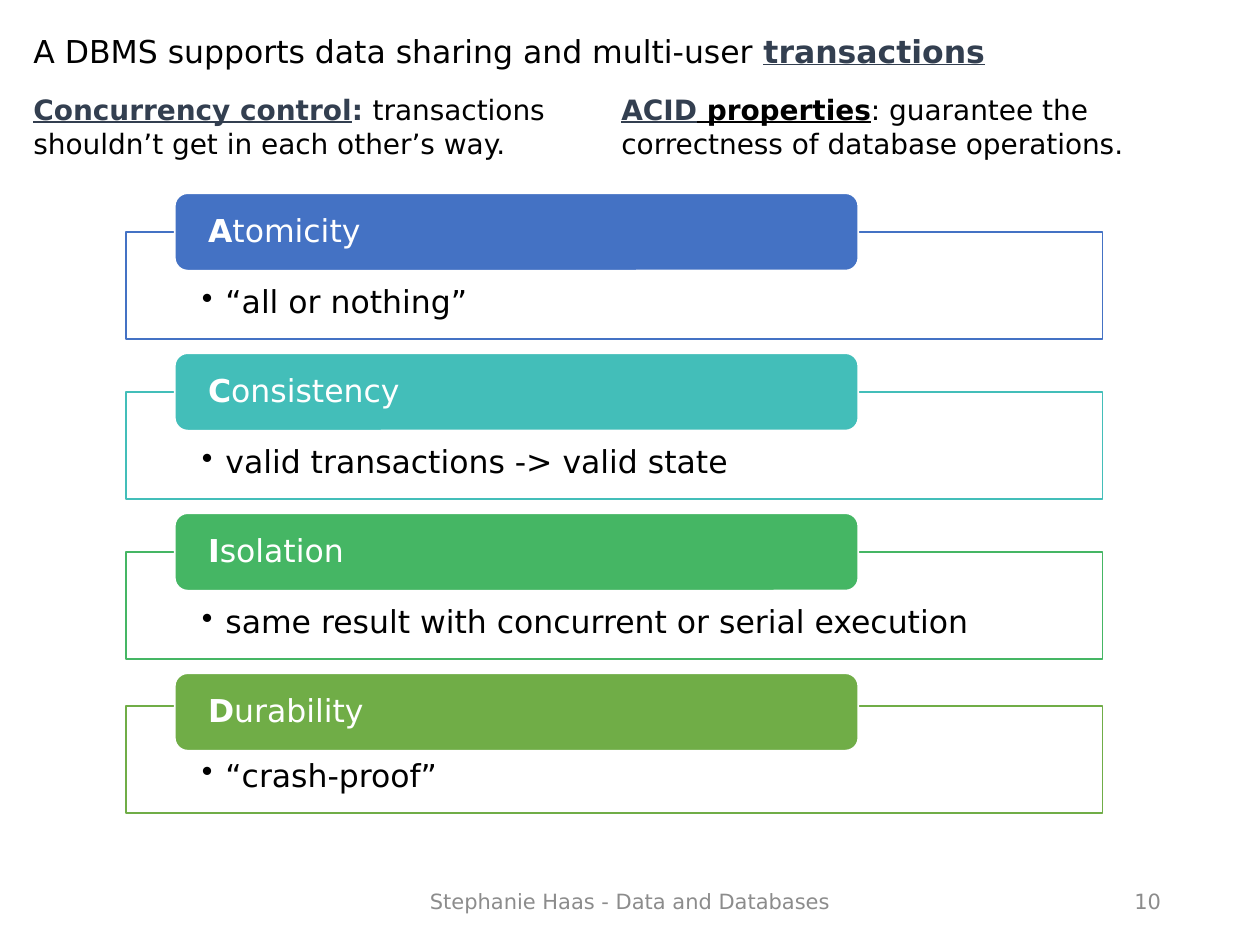
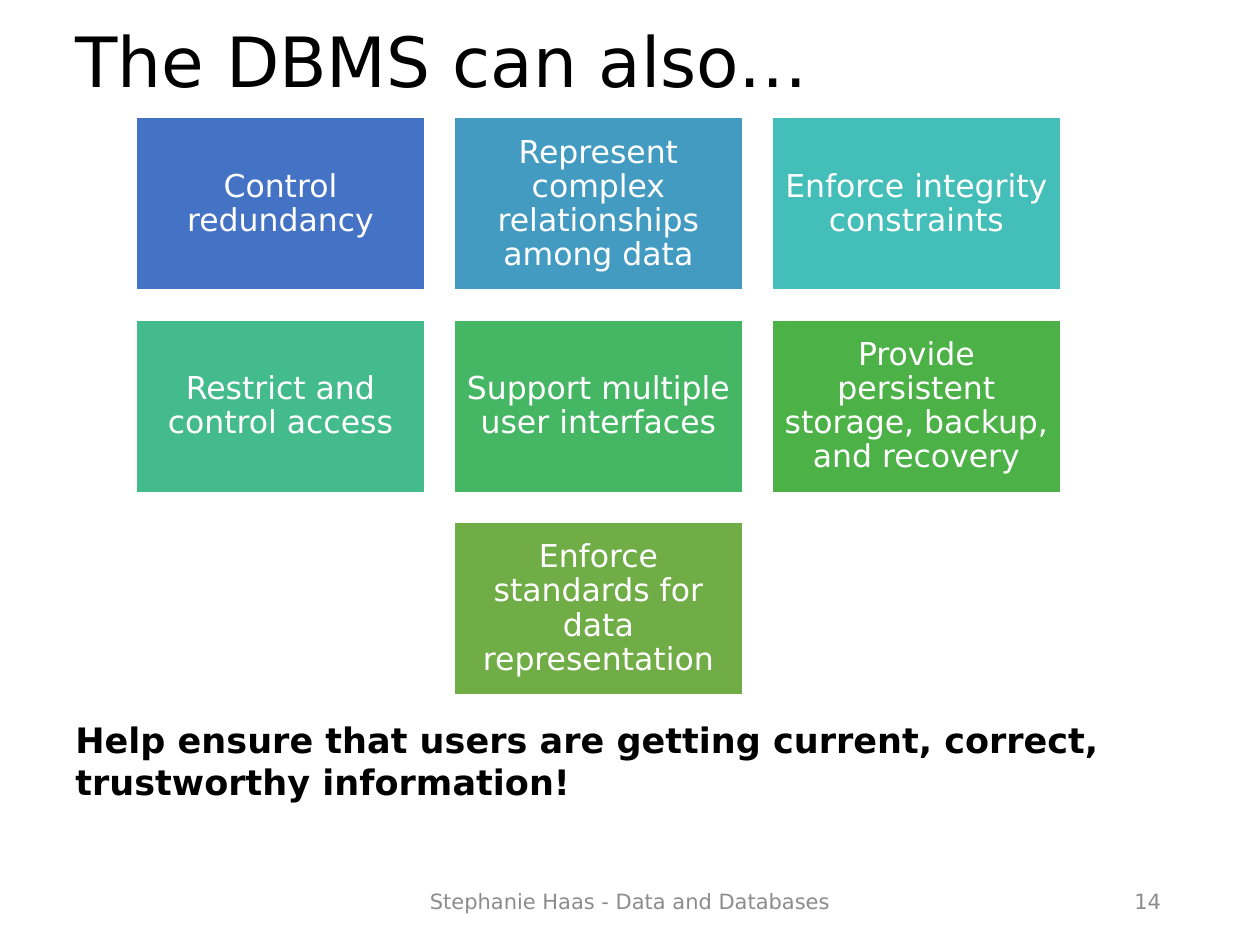
"""Build two slides on DBMS transactions and further DBMS abilities."""
from dataclasses import dataclass

from lxml.etree import SubElement
from pptx import Presentation
from pptx.dml.color import RGBColor
from pptx.enum.shapes import MSO_SHAPE
from pptx.enum.text import MSO_ANCHOR, PP_ALIGN
from pptx.oxml.ns import qn
from pptx.util import Pt

TRANSACTIONS_TITLE = [("A DBMS supports data sharing and multi-user ", "text", ""),
                      ("transactions", "accent", "bu")]
CONCURRENCY = [("Concurrency control", "accent", "bu"), (": ", "accent", "b"),
               ("transactions shouldn’t get in each other’s way.", "text", "")]
ACID = [("ACID", "accent", "bu"), (" properties", "text", "bu"),
        (": guarantee the correctness of database operations.", "text", "")]
PROPERTIES = [
    ("Atomicity", "“all or nothing”", "blue"),
    ("Consistency", "valid transactions -> valid state", "teal"),
    ("Isolation", "same result with concurrent or serial execution", "green"),
    ("Durability", "“crash-proof”", "olive"),
]
ABILITIES_TITLE = "The DBMS can also…"
ABILITIES = [
    ("Control redundancy", "blue"),
    ("Represent complex relationships among data", "sky"),
    ("Enforce integrity constraints", "teal"),
    ("Restrict and control access", "mint"),
    ("Support multiple user interfaces", "green"),
    ("Provide persistent storage, backup, and recovery", "leaf"),
    ("Enforce standards for data representation", "olive"),
]
CONCLUSION = "Help ensure that users are getting current, correct, trustworthy information!"
FOOTER = "Stephanie Haas - Data and Databases"


@dataclass(frozen=True)
class Theme:
    font: str = "DejaVu Sans"
    text: str = "000000"
    accent: str = "333F50"
    muted: str = "8C8C8C"
    white: str = "FFFFFF"
    blue: str = "4472C4"
    sky: str = "449BC1"
    teal: str = "43BEB9"
    mint: str = "43BB8D"
    green: str = "45B664"
    leaf: str = "4CB146"
    olive: str = "70AD47"
    headline: float = 39.6
    closing: float = 20
    body: float = 18
    lead: float = 16
    footer: float = 12


THEME = Theme()


def color(name):
    return RGBColor.from_string(getattr(THEME, name))


def write(shape, pieces, size, align=PP_ALIGN.LEFT, anchor=MSO_ANCHOR.TOP,
          spacing=1.0, insets=(7.2, 3.6, 7.2, 3.6)):
    frame = shape.text_frame
    frame.word_wrap = True
    frame.vertical_anchor = anchor
    frame.margin_left, frame.margin_top, frame.margin_right, frame.margin_bottom = map(Pt, insets)
    paragraph = frame.paragraphs[0]
    paragraph.alignment = align
    paragraph.line_spacing = spacing
    for wording, tint, style in pieces:
        run = paragraph.add_run()
        run.text = wording
        run.font.name = THEME.font
        run.font.size = Pt(size)
        run.font.color.rgb = color(tint)
        run.font.bold = "b" in style
        run.font.underline = "u" in style
    return paragraph


def add_text(slide, box, pieces, size, **layout):
    write(slide.shapes.add_textbox(*map(Pt, box)), pieces, size, **layout)


def add_block(slide, outline, box, fill, line):
    block = slide.shapes.add_shape(outline, *map(Pt, box))
    block.shadow.inherit = False
    block.fill.solid()
    block.fill.fore_color.rgb = color(fill)
    block.line.color.rgb = color(line)
    block.line.width = Pt(1)
    return block


def add_bullet(paragraph, indent):
    properties = paragraph._p.get_or_add_pPr()
    properties.set("marL", str(Pt(indent)))
    properties.set("indent", str(-Pt(indent)))
    SubElement(properties, qn("a:buChar")).set("char", "•")


def start_slide(deck, title, title_box, title_size, number):
    slide = deck.slides.add_slide(deck.slide_layouts[6])
    add_text(slide, title_box, title, title_size, anchor=MSO_ANCHOR.MIDDLE, spacing=0.9)
    for wording, left, width, align in ((FOOTER, 238.5, 243, PP_ALIGN.CENTER),
                                        (str(number), 508.5, 162, PP_ALIGN.RIGHT)):
        add_text(slide, (left, 500.5, width, 28.75), [(wording, "muted", "")], THEME.footer,
                 align=align, anchor=MSO_ANCHOR.MIDDLE)
    return slide


def build_transactions(deck):
    slide = start_slide(deck, TRANSACTIONS_TITLE, (12, 11.5, 690, 37.5), THEME.body, 10)
    add_text(slide, (12, 49.5, 312, 46), CONCURRENCY, THEME.lead)
    add_text(slide, (348, 49.5, 303, 46), ACID, THEME.lead)
    first_top, pitch = 110.4, 91.44
    for row, (name, meaning, tint) in enumerate(PROPERTIES):
        tab_top = first_top + row * pitch
        drop = 18.5 if row == len(PROPERTIES) - 1 else 22.1
        frame = add_block(slide, MSO_SHAPE.RECTANGLE, (72, tab_top + drop, 558, 61.2), "white", tint)
        paragraph = write(frame, [(meaning, "text", "")], THEME.body, spacing=0.9,
                          insets=(43.3, 31.2, 43.3, 10))
        add_bullet(paragraph, 13.5)
        tab = add_block(slide, MSO_SHAPE.ROUNDED_RECTANGLE, (99.9, tab_top, 390.6, 44.28), tint, "white")
        write(tab, [(name[0], "white", "b"), (name[1:], "white", "")], THEME.body,
              anchor=MSO_ANCHOR.MIDDLE, spacing=0.9, insets=(16.9, 0, 16.9, 0))


def build_abilities(deck):
    slide = start_slide(deck, [(ABILITIES_TITLE, "text", "")], (36, 12, 648, 50.5), THEME.headline, 14)
    columns, left, top, width, height, gap = 3, 77.8, 67, 164.9, 98.9, 16.8
    for index, (ability, tint) in enumerate(ABILITIES):
        row, column = divmod(index, columns)
        in_row = min(columns, len(ABILITIES) - row * columns)
        shift = column + (columns - in_row) / 2
        box = (left + shift * (width + gap), top + row * (height + gap), width, height)
        tile = add_block(slide, MSO_SHAPE.RECTANGLE, box, tint, "white")
        write(tile, [(ability, "white", "")], THEME.body, align=PP_ALIGN.CENTER,
              anchor=MSO_ANCHOR.MIDDLE, spacing=0.9, insets=(5.4,) * 4)
    add_text(slide, (36, 407, 648, 55.7), [(CONCLUSION, "text", "b")], THEME.closing)


def main():
    deck = Presentation()
    deck.slide_width, deck.slide_height = Pt(720), Pt(540)
    build_transactions(deck)
    build_abilities(deck)
    deck.save("out.pptx")


if __name__ == "__main__":
    main()
